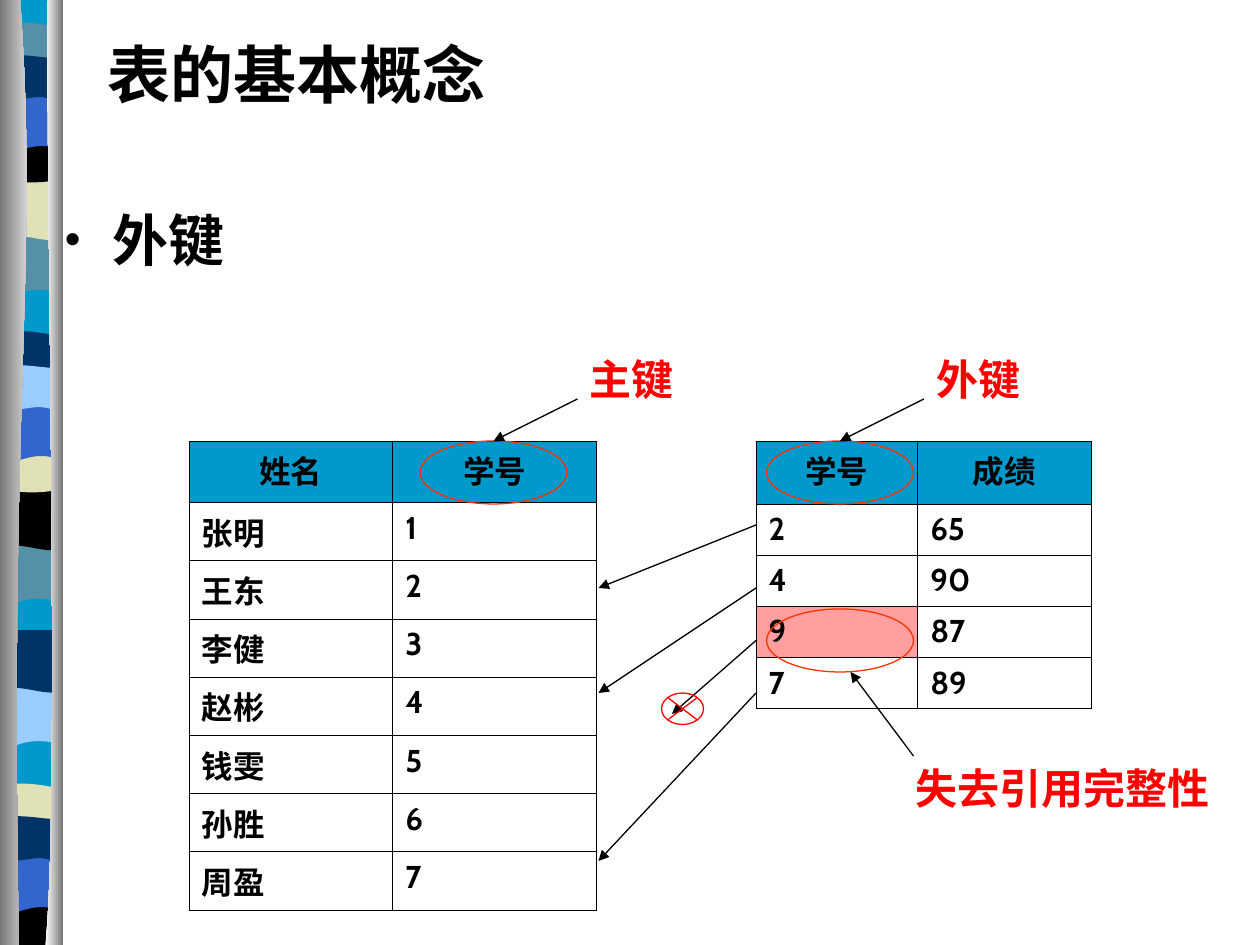
from lxml.etree import SubElement
from pptx import Presentation
from pptx.dml.color import RGBColor
from pptx.enum.shapes import MSO_CONNECTOR as Connector, MSO_SHAPE as Shape
from pptx.enum.text import MSO_ANCHOR as Anchor, MSO_AUTO_SIZE as AutoSize, PP_ALIGN as Align
from pptx.oxml.ns import qn
from pptx.util import Inches, Pt

BLACK = RGBColor(0x00, 0x00, 0x00)
WHITE = RGBColor(0xFF, 0xFF, 0xFF)
GREY = RGBColor(0x76, 0x76, 0x76)
RED = RGBColor(0xFF, 0x00, 0x00)
ORANGE = RGBColor(0xFF, 0x33, 0x00)
PINK = RGBColor(0xFF, 0x9F, 0x9F)
CYAN = RGBColor(0x00, 0x99, 0xCC)
TEAL = RGBColor(0x54, 0x90, 0xA8)
CREAM = RGBColor(0xE1, 0xE1, 0xB7)
BLUE = RGBColor(0x33, 0x66, 0xCC)
NAVY = RGBColor(0x00, 0x33, 0x66)
SKY = RGBColor(0x99, 0xCC, 0xFF)

CJK = "Noto Sans CJK SC"
HANGING = 0.38

TAIL = [(0.49, 0), (0.49, 0.47), (0.17, 0.38, 0.1, 0.54, 0.02, 0.47), (0.02, 0)]
SWELL = [(0.49, 0), (0.49, 0.47), (0.41, 0.55, 0.17, 0.42, 0.02, 0.47), (0.02, 0)]
CAP = [(0.49, 0.05), (0.49, 0.29), (0.41, 0.33, 0.1, 0.33, 0.02, 0.29), (0.02, 0.05),
       (0.05, 0, 0.12, 0.01, 0.2, 0.01), (0.28, 0.01, 0.43, 0.04, 0.49, 0.05)]
DIP = [(0.49, 0), (0.49, 0.33), (0.41, 0.38, 0.1, 0.38, 0.02, 0.33), (0.02, 0),
       (0.31, 0.05, 0.39, 0, 0.49, 0)]
ARCH = [(0.49, 0), (0.49, 0.47), (0.42, 0.41, 0.39, 0.41, 0.31, 0.41),
        (0.23, 0.41, 0.09, 0.47, 0.02, 0.47), (0.02, 0)]
RIBBON = [(0.49, 0.05), (0.49, 0.36), (0.46, 0.41, 0.39, 0.36, 0.31, 0.36),
          (0.23, 0.36, 0.07, 0.41, 0.02, 0.36), (0.02, 0.05), (0.09, 0, 0.34, 0.05, 0.42, 0.05)]
BASE = [(0.49, 0), (0.49, 0.38), (0.02, 0.38), (0.02, 0), (0.31, 0.05, 0.39, 0, 0.49, 0)]
BACKDROP = [(0.49, 0), (0.49, 7.48), (0.02, 7.48), (0.02, 0)]
LEFT_EDGE = [(0.16, 0), (0.31, 2.17, 0.07, 2.96, 0.15, 7.5), (0, 7.5), (0, 0)]
RIGHT_EDGE = [(0.38, 0), (0.36, 1.25, 0.48, 6.47, 0.36, 7.5), (0.5, 7.5), (0.5, 0)]

BANDS = [
    (BACKDROP, 0, CYAN), (TAIL, 1.86, TEAL), (SWELL, 1.41, CREAM), (CAP, 0.17, TEAL),
    (DIP, 1.08, BLACK), (ARCH, 0.75, BLUE), (RIBBON, 0.41, NAVY), (TAIL, 4.31, TEAL),
    (SWELL, 3.87, BLACK), (CAP, 2.62, NAVY), (DIP, 3.54, CREAM), (ARCH, 3.21, BLUE),
    (RIBBON, 2.87, SKY), (TAIL, 5.44, SKY), (SWELL, 5, NAVY), (CAP, 6.21, CREAM),
    (BASE, 7.12, BLACK), (ARCH, 6.79, BLUE), (RIBBON, 6.45, NAVY),
]


def write(frame, text, size=18, font="Cabin", color=BLACK, align=Align.LEFT,
          before=0, after=0, spacing=None, hanging=0, bullet=None):
    paragraph = frame.paragraphs[0]
    paragraph.alignment = align
    paragraph.space_before, paragraph.space_after = Pt(before), Pt(after)
    paragraph.line_spacing = spacing
    properties = paragraph._p.get_or_add_pPr()
    if hanging:
        properties.set("marL", str(Inches(hanging)))
        properties.set("indent", str(Inches(-hanging)))
    if bullet:
        SubElement(properties, qn("a:buSzPct")).set("val", "80000")
        SubElement(properties, qn("a:buFont")).set("typeface", "Arial")
        SubElement(properties, qn("a:buChar")).set("char", bullet)
    run = paragraph.add_run()
    run.text = text
    run.font.name, run.font.size, run.font.bold = font, Pt(size), True
    run.font.color.rgb = color
    SubElement(run._r.get_or_add_rPr(), qn("a:ea")).set("typeface", CJK)


class Board:
    columns = 120
    hairline = Pt(0.75)
    border = Pt(0.45)

    def __init__(self, deck):
        self.unit = deck.slide_width / self.columns
        self.tenth = deck.slide_width / 10
        self.page = self.shapes = deck.slides.add_slide(deck.slide_layouts[6]).shapes

    def grid(self, *cells):
        return [round(cell * self.unit) for cell in cells]

    def open_group(self):
        self.shapes = self.page.add_group_shape().shapes

    def close_group(self):
        self.shapes = self.page

    def outline(self, outline, top=0, color=None, gradient=None):
        points = [(x * self.tenth, (y + top) * self.tenth)
                  for segment in outline for x, y in zip(segment[::2], segment[1::2])]
        builder = self.shapes.build_freeform(*points[0])
        builder.add_line_segments(points[1:], close=True)
        band = builder.convert_to_shape()
        self.bend(band, outline)
        band.shadow.inherit = False
        band.line.fill.background()
        if gradient:
            band.fill.gradient()
            band.fill.gradient_angle = 0
            for stop, stop_color in zip(band.fill.gradient_stops, gradient):
                stop.color.rgb = stop_color
        else:
            band.fill.solid()
            band.fill.fore_color.rgb = color

    def bend(self, band, outline):
        lines = iter(list(band._element.iter(qn("a:lnTo"))))
        for segment in outline[1:]:
            line = next(lines)
            if len(segment) == 6:
                curve = line.makeelement(qn("a:cubicBezTo"))
                line.addprevious(curve)
                for corner in (line, next(lines), next(lines)):
                    curve.append(corner[0])
                    corner.getparent().remove(corner)

    def text(self, area, text, anchor=Anchor.TOP, grow=False, **style):
        frame = self.shapes.add_textbox(*self.grid(*area)).text_frame
        frame.word_wrap = True
        frame.vertical_anchor = anchor
        frame.auto_size = AutoSize.SHAPE_TO_FIT_TEXT if grow else AutoSize.NONE
        write(frame, text, **style)

    def ring(self, area, kind=Shape.OVAL, color=ORANGE):
        ring = self.shapes.add_shape(kind, *self.grid(*area))
        ring.shadow.inherit = False
        ring.fill.background()
        ring.line.color.rgb, ring.line.width = color, self.hairline
        return ring

    def arrow(self, start, end, target=None):
        arrow = self.shapes.add_connector(Connector.STRAIGHT, *self.grid(*start, *end))
        arrow.line.color.rgb, arrow.line.width = BLACK, self.hairline
        SubElement(arrow.line._get_or_add_ln(), qn("a:tailEnd")).set("type", "triangle")
        SubElement(arrow._element.spPr, qn("a:effectLst"))
        if target:
            arrow.end_connect(target, 0)

    def key(self, left, label):
        self.open_group()
        ring = self.ring((left, 42, 14, 6))
        self.arrow((left + 15, 38), (left + 7, 42), target=ring)
        self.text((left + 15, 34, 11, 5), label, grow=True, size=24, font="Arial",
                  color=RED, before=15, spacing=0.8)
        self.close_group()

    def table(self, left, top, widths, heights, records, fills, name_font="Cabin"):
        area = self.grid(left, top, sum(widths), sum(heights))
        table = self.shapes.add_table(len(heights), len(widths), *area).table
        table.first_row = table.horz_banding = False
        for column, width in zip(table.columns, self.grid(*widths)):
            column.width = width
        for r, (record, height) in enumerate(zip(records, self.grid(*heights))):
            table.rows[r].height = height
            header = r == 0
            for c, value in enumerate(record):
                self.cell(table.cell(r, c), CYAN if header else fills.get((r, c)))
                write(table.cell(r, c).text_frame, value, after=3.4, hanging=HANGING,
                      align=Align.CENTER if header else Align.LEFT,
                      font=name_font if c == 0 and not header else "Cabin")

    def cell(self, cell, color):
        properties = cell._tc.get_or_add_tcPr()
        for side in ("lnL", "lnR", "lnT", "lnB"):
            edge = SubElement(properties, qn(f"a:{side}"), w=str(self.border))
            SubElement(SubElement(edge, qn("a:solidFill")), qn("a:srgbClr")).set("val", str(BLACK))
        if color is None:
            cell.fill.background()
        else:
            cell.fill.solid()
            cell.fill.fore_color.rgb = color


def main():
    deck = Presentation()
    deck.slide_width, deck.slide_height = Inches(10), Inches(7.5)
    board = Board(deck)

    board.open_group()
    for outline, top, color in BANDS:
        board.outline(outline, top, color)
    board.outline(LEFT_EDGE, gradient=(GREY, WHITE))
    board.outline(RIGHT_EDGE, gradient=(WHITE, GREY))
    board.close_group()

    board.text((9.1, 3, 108, 8), "表的基本概念", anchor=Anchor.MIDDLE, size=36)
    board.text((5, 19, 89, 9), "外键", size=32, font="Arial Narrow", align=Align.JUSTIFY,
               before=8, hanging=HANGING, bullet="•")

    names = ["张明", "王东", "李健", "赵彬", "钱雯", "孙胜", "周盈"]
    students = [("姓名", "学号")] + [(name, str(i)) for i, name in enumerate(names, 1)]
    scores = [("学号", "成绩"), ("2", "65"), ("4", "90"), ("9", "87"), ("7", "89")]
    board.table(18, 42, [19.4] * 2, [5.85] + [4.8] * 7, students, {}, name_font=CJK)
    board.table(72, 42, [15.4, 16.5], [6] + [4.85] * 4, scores, {(3, 0): PINK})

    board.key(73, "外键")
    board.key(40, "主键")
    for start, end in [((72, 50), (57, 56)), ((72, 56), (57, 66)),
                       ((72, 61), (64, 68)), ((72, 66), (57, 82))]:
        board.arrow(start, end)
    board.ring((63, 66, 4, 3), kind=Shape.FLOWCHART_SUMMING_JUNCTION, color=RED)
    board.ring((73, 58, 14, 6))
    board.open_group()
    board.text((86, 72, 31, 6), "失去引用完整性", anchor=Anchor.BOTTOM, grow=True,
               size=24, font="Cambria", color=RED, before=15)
    board.arrow((87, 72), (81, 64))
    board.close_group()

    deck.save("out.pptx")


if __name__ == "__main__":
    main()
